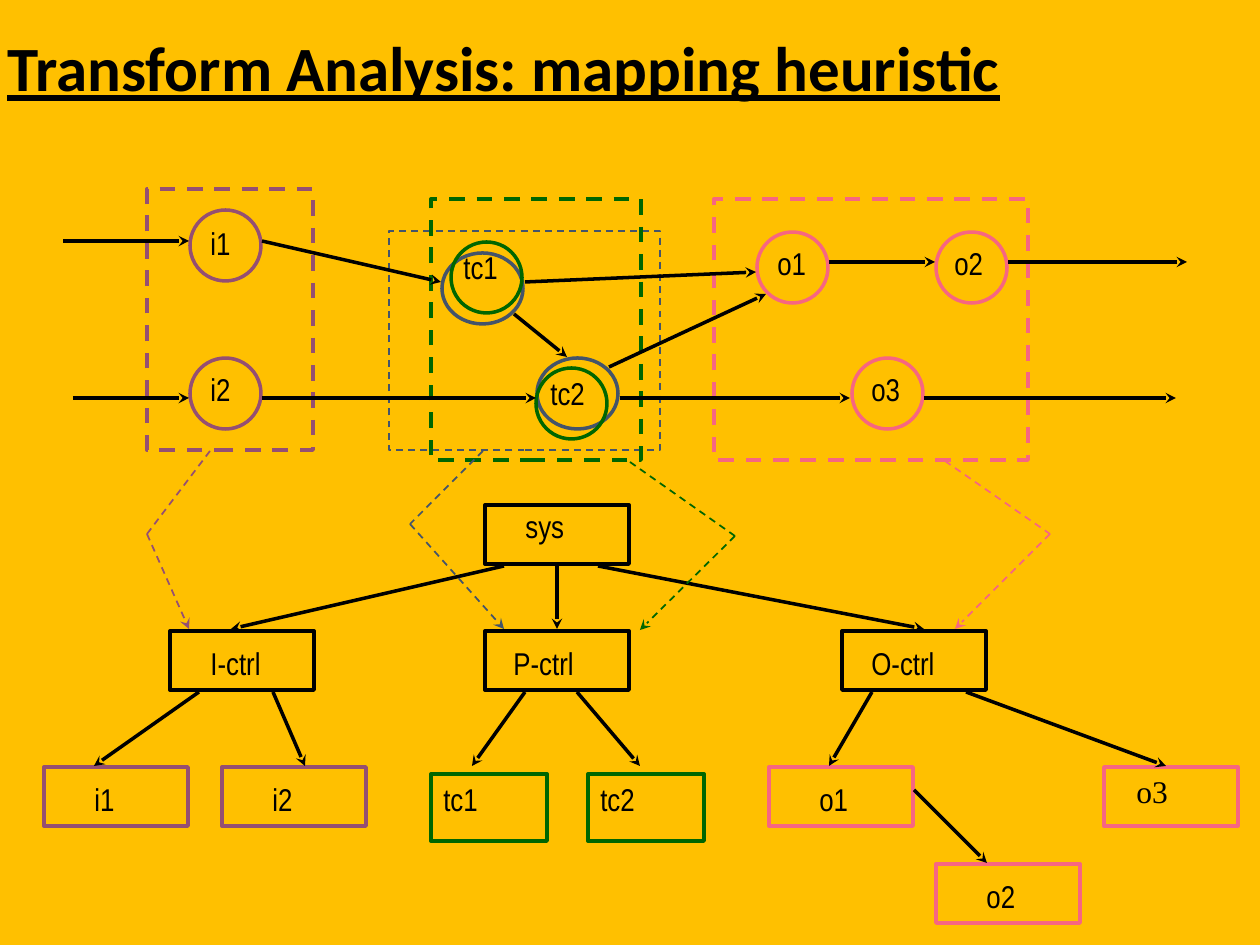
import pptx
import pptx.dml.color
import pptx.enum.dml
import pptx.enum.shapes
import pptx.enum.text
import pptx.oxml.ns
import pptx.util
from dataclasses import dataclass
from itertools import pairwise
from lxml import etree

EMU_PER_PX = 914400 / 126
SHAPE = pptx.enum.shapes.MSO_SHAPE


@dataclass(frozen=True)
class Theme:
    background: str = "FFC000"
    ink: str = "000000"
    purple: str = "954F72"
    slate: str = "44546A"
    pink: str = "F76681"
    green: str = "006600"
    title_font: str = "Calibri"
    label_font: str = "Arial Narrow"
    serif_font: str = "Times New Roman"
    title_size: int = 36
    label_size: int = 18
    thin: float = 1
    medium: float = 2
    thick: float = 2.25


THEME = Theme()
CIRCLE = (71, 71)
OVAL = (81, 71)
BOX = (144, 59)
LEAF = (116, 67)

# left, top, size, colour
PROCESSES = [
    (190, 210, CIRCLE, THEME.purple), (190, 358, CIRCLE, THEME.purple),
    (442, 253, OVAL, THEME.slate), (537, 358, OVAL, THEME.slate),
    (757, 232, CIRCLE, THEME.pink), (936, 232, CIRCLE, THEME.pink),
    (852, 358, CIRCLE, THEME.pink),
    (451, 242, CIRCLE, THEME.green), (536, 368, CIRCLE, THEME.green),
]
# text, left, top, width
PROCESS_LABELS = [
    ("i1", 198, 218, 52), ("i2", 198, 364, 52),
    ("tc1", 451, 242, 72), ("tc2", 538, 368, 72),
    ("o1", 765, 238, 64), ("o2", 942, 238, 64), ("o3", 859, 364, 64),
]
FLOWS = [
    (63, 241, 189, 241), (262, 241, 441, 282),
    (73, 398, 189, 398), (262, 398, 536, 398),
    (514, 314, 567, 357), (525, 282, 756, 272),
    (620, 398, 850, 398), (609, 367, 766, 294),
    (829, 262, 935, 262), (1008, 262, 1187, 262), (924, 398, 1176, 398),
]
# left, top, width, height, colour, line width
REGIONS = [
    (147, 189, 166, 261, THEME.purple, THEME.thick),
    (389, 231, 271, 219, THEME.slate, THEME.thin),
    (714, 199, 314, 261, THEME.pink, THEME.thick),
    (431, 199, 210, 261, THEME.green, THEME.thick),
]
# text, left, top, colour, label shift across, label shift down
MODULES = [
    ("sys", 485, 505, THEME.ink, 28, -4),
    ("I-ctrl", 170, 631, THEME.ink, 28, 7),
    ("P-ctrl", 485, 631, THEME.ink, 16, 7),
    ("O-ctrl", 842, 631, THEME.ink, 17, 7),
    ("i1", 44, 767, THEME.purple, 38, 7),
    ("i2", 222, 767, THEME.purple, 38, 7),
    ("o1", 769, 767, THEME.pink, 38, 7),
    ("o2", 936, 864, THEME.pink, 38, 7),
]
LEAVES = [("tc1", 431), ("tc2", 588)]
CALLS = [
    (504, 566, 231, 629), (557, 566, 557, 629), (598, 566, 924, 629),
    (199, 692, 94, 766), (273, 692, 305, 766),
    (525, 692, 472, 766), (577, 692, 640, 766),
    (872, 692, 829, 766), (966, 692, 1166, 766), (914, 790, 987, 863),
]
MAPPINGS = [
    (THEME.purple, [(210, 451), (147, 534), (189, 629)]),
    (THEME.slate, [(483, 451), (410, 524), (504, 629)]),
    (THEME.pink, [(945, 461), (1050, 534), (955, 629)]),
    (THEME.green, [(630, 462), (735, 536), (640, 630)]),
]


def px(*lengths):
    return [pptx.util.Emu(round(length * EMU_PER_PX)) for length in lengths]


def rgb(colour):
    return pptx.dml.color.RGBColor.from_string(colour)


def style_line(line, colour, width, dashed=False):
    line.color.rgb = rgb(colour)
    line.width = pptx.util.Pt(width)
    if dashed:
        line.dash_style = pptx.enum.dml.MSO_LINE.DASH


def write(frame, text, font=THEME.label_font, size=THEME.label_size,
          bold=False, underline=False, spacing=None,
          anchor=pptx.enum.text.MSO_ANCHOR.TOP):
    frame.word_wrap = True
    frame.vertical_anchor = anchor
    para = frame.paragraphs[0]
    para.alignment = pptx.enum.text.PP_ALIGN.LEFT
    para.line_spacing = spacing
    span = para.add_run()
    span.text = text
    span.font.name = font
    span.font.size = pptx.util.Pt(size)
    span.font.bold = bold
    span.font.underline = underline
    span.font.color.rgb = rgb(THEME.ink)


def add_text(page, text, left, top, width, height=63, **text_format):
    box = page.shapes.add_textbox(*px(left, top, width, height))
    write(box.text_frame, text, **text_format)


def add_outline(page, kind, left, top, size, colour, width, dashed=False):
    shape = page.shapes.add_shape(kind, *px(left, top, *size))
    shape.shadow.inherit = False
    shape.fill.background()
    style_line(shape.line, colour, width, dashed)
    return shape


def add_line(page, start, end, colour=THEME.ink, width=THEME.medium,
             dashed=False, arrow=True):
    line = page.shapes.add_connector(
        pptx.enum.shapes.MSO_CONNECTOR.STRAIGHT, *px(*start, *end))
    style_line(line.line, colour, width, dashed)
    qn = pptx.oxml.ns.qn
    if arrow:
        etree.SubElement(line.line._get_or_add_ln(), qn("a:tailEnd"), type="stealth")
    etree.SubElement(line._element.spPr, qn("a:effectLst"))


def add_mapping(page, colour, points):
    """Dashed bent line from a region to its controller, arrow on the last leg."""
    for start, end in pairwise(points):
        add_line(page, start, end, colour, THEME.thin, dashed=True,
                 arrow=end == points[-1])


def add_flow_diagram(page):
    for left, top, size, colour in PROCESSES:
        add_outline(page, SHAPE.OVAL, left, top, size, colour, THEME.medium)
    for label in PROCESS_LABELS:
        add_text(page, *label)
    for left, top, width, height, colour, weight in REGIONS:
        add_outline(page, SHAPE.RECTANGLE, left, top, (width, height), colour,
                    weight, dashed=True)


def add_structure_chart(page):
    for text, left, top, colour, across, down in MODULES:
        add_outline(page, SHAPE.RECTANGLE, left, top, BOX, colour, THEME.thick)
        add_text(page, text, left + across, top + down, 110)
    for text, left in LEAVES:
        leaf = add_outline(page, SHAPE.RECTANGLE, left, 774, LEAF, THEME.green,
                           THEME.thick)
        write(leaf.text_frame, text)
    add_outline(page, SHAPE.RECTANGLE, 1104, 767, (134, 59), THEME.pink,
                THEME.medium)
    add_text(page, "o3", 1124, 766, 73, font=THEME.serif_font)


def main():
    deck = pptx.Presentation()
    deck.slide_width, deck.slide_height = px(1260, 945)
    page = deck.slides.add_slide(deck.slide_layouts[6])
    page.background.fill.solid()
    page.background.fill.fore_color.rgb = rgb(THEME.background)
    add_text(page, "Transform Analysis: mapping heuristic", -5, -8, 1102, 158,
             font=THEME.title_font, size=THEME.title_size, bold=True,
             underline=True, spacing=0.9,
             anchor=pptx.enum.text.MSO_ANCHOR.MIDDLE)
    add_flow_diagram(page)
    add_structure_chart(page)
    for x1, y1, x2, y2 in FLOWS + CALLS:
        add_line(page, (x1, y1), (x2, y2))
    for colour, points in MAPPINGS:
        add_mapping(page, colour, points)
    deck.save("out.pptx")


if __name__ == "__main__":
    main()
